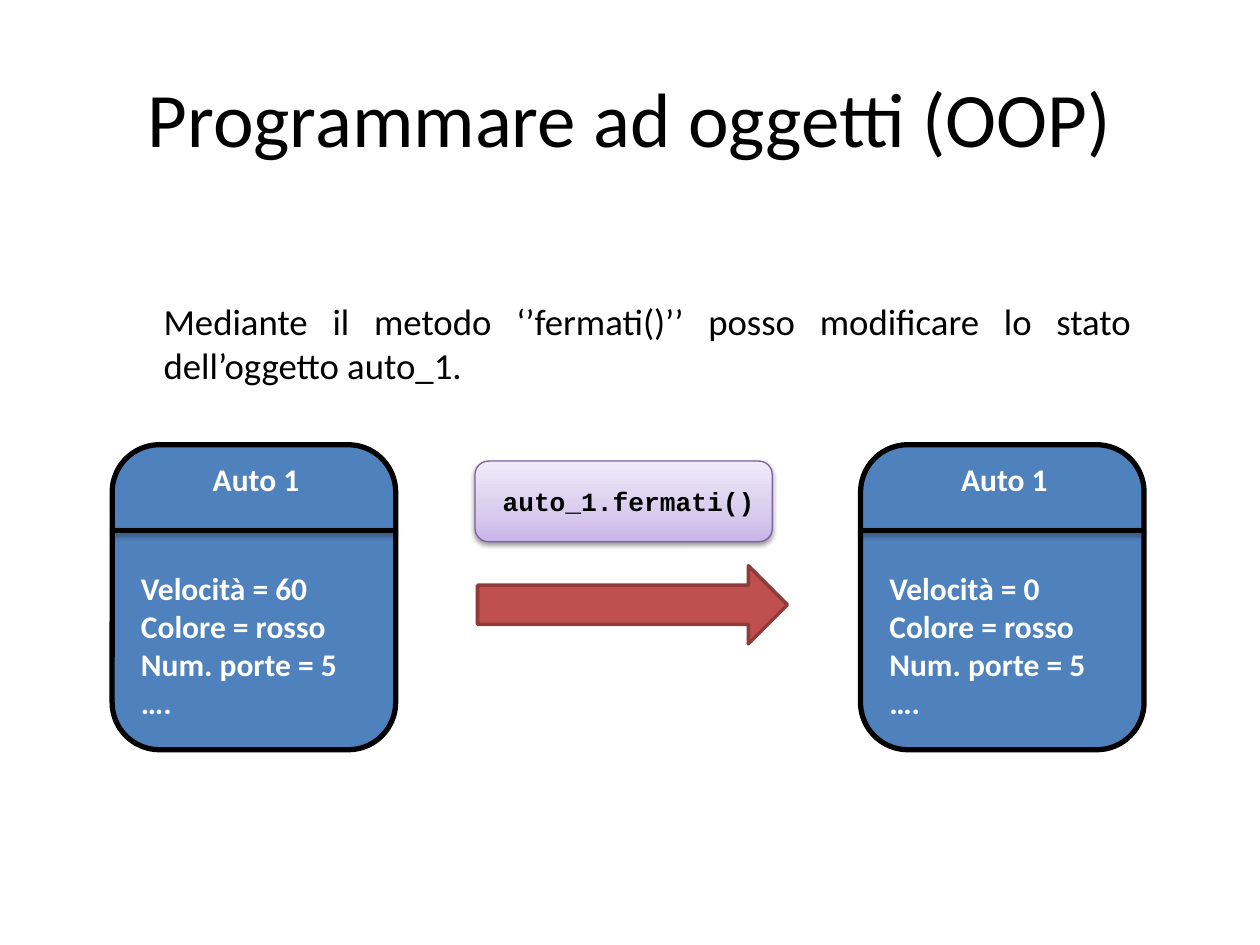
import pptx
import pptx.util
import pptx.oxml
import pptx.oxml.ns
import pptx.dml.color
import pptx.enum.shapes
import pptx.enum.text

Inches = pptx.util.Inches
Pt = pptx.util.Pt
Shape = pptx.enum.shapes.MSO_SHAPE
Align = pptx.enum.text.PP_ALIGN
Anchor = pptx.enum.text.MSO_ANCHOR
HUES = {
    "ink": "000000", "white": "FFFFFF", "blue": "4F81BD",
    "red": "C0504D", "rust": "8E3B39", "plum": "7D60A0",
    "deep": "C9B5E8", "mid": "D8CBEE", "pale": "F0EAF9",
}


def hue(name):
    """Return the named colour."""
    return pptx.dml.color.RGBColor.from_string(HUES[name])


def node(tag, **attrs):
    """Return a new drawing element with its attributes."""
    part = pptx.oxml.parse_xml(f"<a:{tag} {pptx.oxml.ns.nsdecls('a')}/>")
    for key, value in attrs.items():
        part.set(key, str(value))
    return part


def tint(name, alpha=None):
    """Return a colour element, with opacity in percent if given."""
    part = node("srgbClr", val=HUES[name])
    if alpha:
        part.append(node("alpha", val=alpha * 1000))
    return part


def shade(item, alpha, drop):
    """Give the item a soft shadow straight below it."""
    cast = node("outerShdw", blurRad=Pt(3.1), dist=Pt(drop),
                dir=90 * 60000, rotWithShape=0)
    cast.append(tint("ink", alpha))
    frame = node("effectLst")
    frame.append(cast)
    props = item._element.spPr
    for old in props.findall(pptx.oxml.ns.qn("a:effectLst")):
        props.remove(old)
    props.append(frame)


def blend(item, stops, angle):
    """Fill the item with a gradient of several stops."""
    fill = node("gradFill", rotWithShape=1)
    row = node("gsLst")
    for place, name in stops:
        stop = node("gs", pos=place * 1000)
        stop.append(tint(name))
        row.append(stop)
    fill.append(row)
    fill.append(node("lin", ang=angle * 60000, scaled=0))
    item._element.spPr.prstGeom.addnext(fill)


def form(slide, kind, box, line, width, fill=None):
    """Add a preset shape with its outline and plain fill."""
    item = slide.shapes.add_shape(kind, *map(Inches, box))
    item.shadow.inherit = False
    if fill:
        item.fill.solid()
        item.fill.fore_color.rgb = hue(fill)
    item.line.color.rgb = hue(line)
    item.line.width = Pt(width)
    return item


def text(slide, box, lines, size, color="ink", font="Calibri", bold=False,
         align=Align.LEFT, anchor=Anchor.TOP, wrap=True):
    """Add a text box with one paragraph for each line."""
    frame = slide.shapes.add_textbox(*map(Inches, box)).text_frame
    frame.word_wrap = wrap
    frame.vertical_anchor = anchor
    for i, words in enumerate(lines):
        para = frame.paragraphs[0] if i == 0 else frame.add_paragraph()
        para.alignment = align
        run = para.add_run()
        run.text = words
        run.font.name = font
        run.font.size = Pt(size)
        run.font.bold = bold
        run.font.color.rgb = hue(color)


def card(slide, box, name, facts):
    """Draw an object card with its name above its state."""
    x, y, w, h = box
    form(slide, Shape.ROUNDED_RECTANGLE, box, "ink", 3, "blue")
    text(slide, (x + 0.7, y + 0.07, 0.9, 0.4), [name], 18, "white",
         bold=True, wrap=False)
    text(slide, (x + 0.13, y + 0.94, w - 0.27, 1.31), facts, 18, "white",
         bold=True)
    rule = slide.shapes.add_connector(
        pptx.enum.shapes.MSO_CONNECTOR.STRAIGHT,
        *map(Inches, (x, y + 0.68, x + w, y + 0.68)))
    rule.line.color.rgb = hue("ink")
    rule.line.width = Pt(3)
    shade(rule, 35, 1.8)


def call(slide, box, code):
    """Draw the method call and the arrow beneath it."""
    x, y, w, h = box
    label = form(slide, Shape.ROUNDED_RECTANGLE, (x, y, 2.36, 0.64),
                 "plum", 0.75)
    blend(label, [(0, "deep"), (35, "mid"), (100, "pale")], 270)
    shade(label, 38, 1.6)
    text(slide, (x + 0.12, y + 0.14, 2.22, 0.35), [code], 15,
         font="Courier New", bold=True, wrap=False)
    form(slide, Shape.RIGHT_ARROW, (x + 0.02, y + h - 0.62, w - 0.02, 0.62),
         "rust", 2, "red")


def main():
    """Build the slide and save it."""
    deck = pptx.Presentation()
    deck.slide_width, deck.slide_height = Inches(10), Inches(7.5)
    slide = deck.slides.add_slide(deck.slide_layouts[6])
    text(slide, (0.5, 0.3, 9, 1.25), ["Programmare ad oggetti (OOP)"], 44,
         align=Align.CENTER, anchor=Anchor.MIDDLE)
    for x, speed in ((0.89, 60), (6.83, 0)):
        card(slide, (x, 3.53, 2.25, 2.42), "Auto 1",
             [f"Velocità = {speed}", "Colore = rosso", "Num. porte = 5", "…."])
    call(slide, (3.77, 3.66, 2.48, 1.45), "auto_1.fermati()")
    text(slide, (1.2, 2.32, 7.88, 0.81),
         ["Mediante il metodo ‘’fermati()’’ posso modificare lo stato "
          "dell’oggetto auto_1."], 21, align=Align.JUSTIFY)
    deck.save("out.pptx")


if __name__ == "__main__":
    main()
